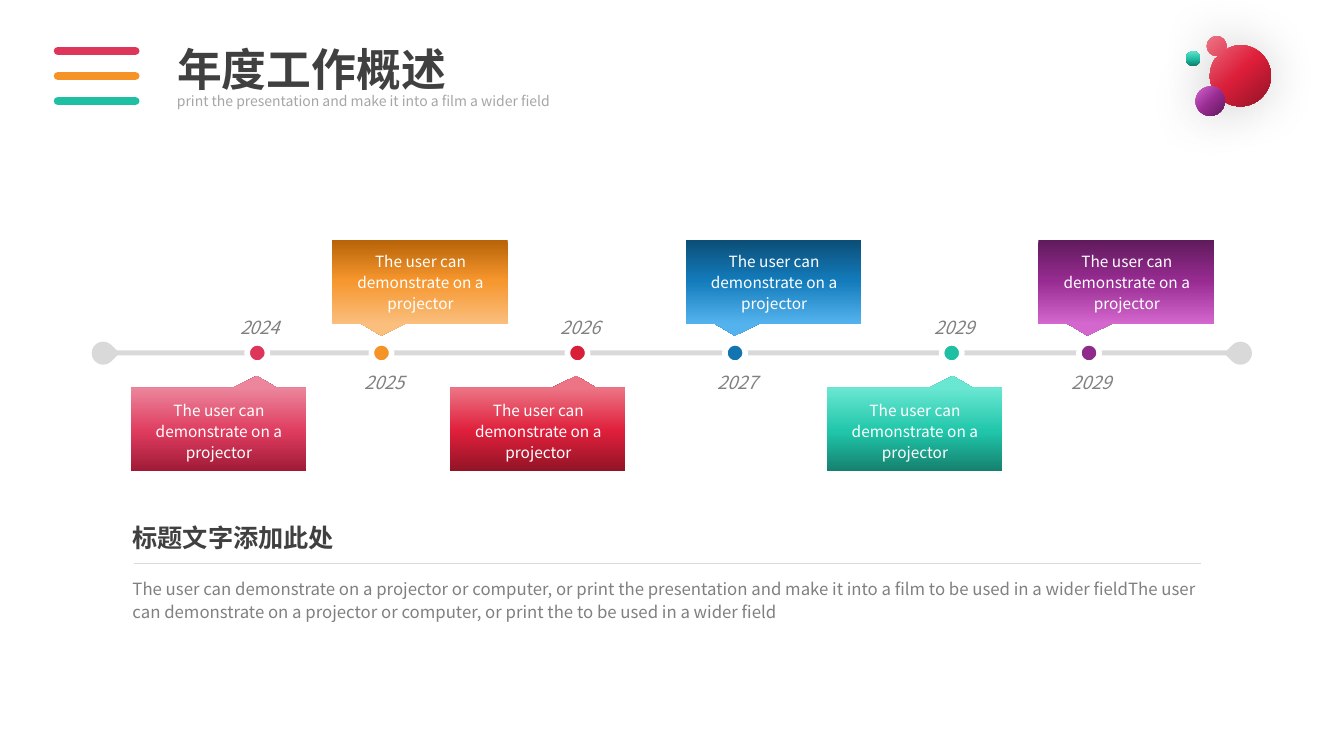
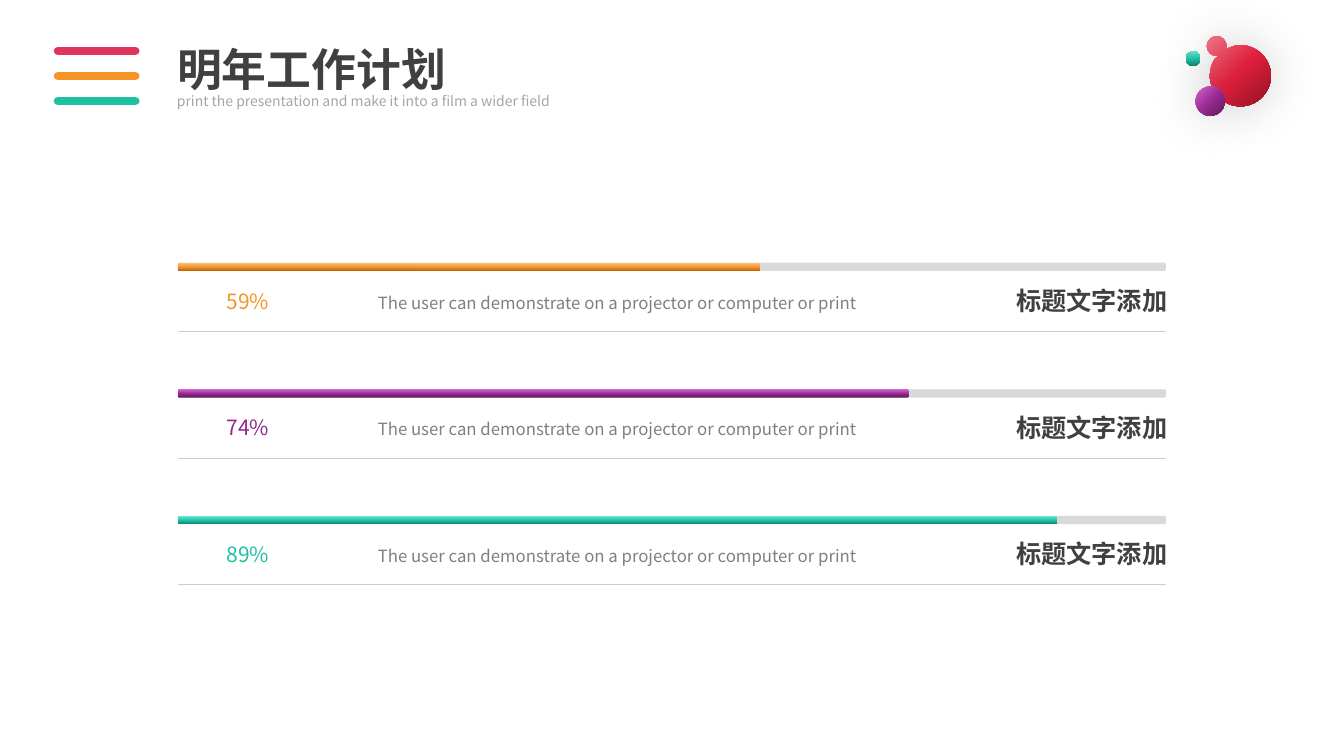
import collections

import pptx
import pptx.dml.color
import pptx.enum.shapes
import pptx.enum.text
import pptx.oxml
import pptx.oxml.ns
import pptx.shapes.connector
import pptx.util
from lxml import etree

Cm = pptx.util.Cm
Pt = pptx.util.Pt
RGB = pptx.dml.color.RGBColor.from_string
SHAPE = pptx.enum.shapes.MSO_SHAPE
STRAIGHT = pptx.enum.shapes.MSO_CONNECTOR.STRAIGHT
ALIGN = pptx.enum.text.PP_ALIGN
ANCHOR = pptx.enum.text.MSO_ANCHOR
qn = pptx.oxml.ns.qn
Hue = collections.namedtuple("Hue", "solid dark mid light")


class Theme:
    font = "Noto Sans CJK SC"
    white, track, rule = "FFFFFF", "D9D9D9", "CCCCCC"
    heading, body, muted = "404040", "808080", "A6A6A6"
    rose = Hue("DE365A", "9F1A37", "DF3C5F", "EB869C")
    orange = Hue("F69326", "B76308", "F6962D", "FABE7D")
    red = Hue("D81E39", "911426", "DF1F3B", "EC7485")
    blue = Hue("1275B2", "0C4E77", "137BBB", "54B3EE")
    teal = Hue("1FBFA4", "15806E", "20C6AA", "6AE7D2")
    purple = Hue("8F298A", "601B5C", "972B91", "D367CE")
    title_pt, heading_pt, percent_pt, year_pt = 32, 18, 15, 12.9
    body_pt, callout_pt, subtitle_pt = 12, 11, 10


def write(sp, text, size, color, align=ALIGN.LEFT, anchor=ANCHOR.TOP,
          wrap=True, spacing=None, bold=False, italic=False):
    tf = sp.text_frame
    tf.text = text
    tf.word_wrap = wrap
    tf.auto_size = pptx.enum.text.MSO_AUTO_SIZE.NONE
    tf.vertical_anchor = anchor
    p = tf.paragraphs[0]
    p.alignment = align
    p.line_spacing = spacing
    r = p.runs[0]
    r.font.name = Theme.font
    r.font.size = Pt(size)
    r.font.bold = bold
    r.font.italic = italic
    r.font.color.rgb = RGB(color)
    etree.SubElement(r.font._element, qn("a:ea"), typeface=Theme.font)


def paint(sp, fill, orb=False):
    sp.line.fill.background()
    sp.shadow.inherit = False
    sp.fill.solid()
    if isinstance(fill, str):
        sp.fill.fore_color.rgb = RGB(fill)
        return
    stops = "".join(
        f'<a:gs pos="{pos}"><a:srgbClr val="{color}"/></a:gs>'
        for pos, color in ((0, fill.dark), (48000, fill.mid), (100000, fill.light)))
    direction = '<a:lin ang="16200000" scaled="0"/>'
    if orb:
        direction = '<a:path path="circle"><a:fillToRect l="100000" t="100000"/></a:path>'
    ns = pptx.oxml.ns.nsdecls("a")
    spPr = sp.element.spPr
    spPr.replace(spPr.find(qn("a:solidFill")), pptx.oxml.parse_xml(
        f'<a:gradFill {ns} rotWithShape="1"><a:gsLst>{stops}</a:gsLst>{direction}</a:gradFill>'))
    if orb:
        spPr.find(qn("a:effectLst")).append(pptx.oxml.parse_xml(
            f'<a:outerShdw {ns} blurRad="{Pt(37)}" dist="0" dir="0" algn="ctr" rotWithShape="0">'
            '<a:srgbClr val="000000"><a:alpha val="18000"/></a:srgbClr></a:outerShdw>'))


prs = pptx.Presentation()
prs.slide_width, prs.slide_height = Cm(33.87), Cm(19.05)

orb_start = (30.66, 0.91)
orb_segments = (
    ((30.8, 0.91), (30.91, 1.02), (30.91, 1.16)),
    ((30.91, 1.19), (30.9, 1.22), (30.89, 1.25)),
    ((30.87, 1.27),),
    ((30.91, 1.24),),
    ((31.01, 1.18), (31.13, 1.14), (31.26, 1.14)),
    ((31.68, 1.14), (32.03, 1.49), (32.03, 1.91)),
    ((32.03, 2.33), (31.68, 2.68), (31.26, 2.68)),
    ((30.84, 2.68), (30.49, 2.33), (30.49, 1.91)),
    ((30.49, 1.75), (30.54, 1.6), (30.62, 1.48)),
    ((30.72, 1.4),),
    ((30.71, 1.4),),
    ((30.69, 1.41), (30.68, 1.41), (30.66, 1.41)),
    ((30.52, 1.41), (30.41, 1.3), (30.41, 1.16)),
    ((30.41, 1.02), (30.52, 0.91), (30.66, 0.91)),
)

for title in ("年度工作概述", "明年工作计划"):
    s = prs.slides.add_slide(prs.slide_layouts[5])
    sp = s.shapes.title
    sp.left, sp.top, sp.width, sp.height = Cm(4.21), Cm(0.93), Cm(7.34), Cm(1.63)
    write(sp, title, Theme.title_pt, Theme.heading, wrap=False, bold=True)
    sp = s.shapes.add_textbox(Cm(4.21), Cm(2.21), Cm(11), Cm(0.69))
    write(sp, "print the presentation and make it into a film a wider field",
          Theme.subtitle_pt, Theme.muted, align=ALIGN.JUSTIFY)

    for i, hue in enumerate((Theme.rose, Theme.orange, Theme.teal)):
        y = Cm(1.28 + 0.635 * i)
        bar = s.shapes.add_connector(STRAIGHT, Cm(1.46), y, Cm(3.41), y)
        bar.line.color.rgb = RGB(hue.solid)
        bar.line.width = Pt(6)
        bar.element.spPr.find(qn("a:ln")).set("cap", "rnd")

    sp = s.shapes.add_shape(SHAPE.OVAL, Cm(29.88), Cm(1.29), Cm(0.38), Cm(0.38))
    paint(sp, Theme.teal)

    builder = s.shapes.build_freeform(Cm(orb_start[0]), Cm(orb_start[1]))
    builder.add_line_segments([(Cm(x), Cm(y)) for points in orb_segments for x, y in points])
    sp = builder.convert_to_shape()
    lines = iter(list(sp.element.spPr.iter(qn("a:lnTo"))))
    for points in orb_segments:
        first = next(lines)
        if len(points) == 3:
            curve = etree.Element(qn("a:cubicBezTo"))
            first.addprevious(curve)
            for line in (first, next(lines), next(lines)):
                curve.append(line[0])
                line.getparent().remove(line)
    paint(sp, Theme.red, orb=True)

    sp = s.shapes.add_shape(SHAPE.OVAL, Cm(30.13), Cm(2.18), Cm(0.74), Cm(0.74))
    paint(sp, Theme.purple, orb=True)

s = prs.slides[0]
sp = s.shapes.add_shape(SHAPE.RECTANGLE, Cm(2.59), Cm(8.83), Cm(28.83), Cm(0.13))
paint(sp, Theme.track)
for x, rotation in ((2.31, 45), (30.97, 225)):
    sp = s.shapes.add_shape(SHAPE.TEAR, Cm(x), Cm(8.61), Cm(0.58), Cm(0.58))
    sp.rotation = rotation
    paint(sp, Theme.track)

milestones = (
    ("2024", Theme.rose, 6.23, 3.29),
    ("2025", Theme.orange, 9.36, 8.37),
    ("2026", Theme.red, 14.3, 11.34),
    ("2027", Theme.blue, 18.27, 17.28),
    ("2029", Theme.teal, 23.73, 20.83),
    ("2029", Theme.purple, 27.19, 26.17),
)
for i, (year, hue, dot_x, callout_x) in enumerate(milestones):
    above = i % 2 == 1
    callout_y, text_y, year_y = (6.05, 6.17, 9.23) if above else (9.77, 9.91, 7.85)

    dot = s.shapes.add_shape(SHAPE.OVAL, Cm(dot_x), Cm(8.64), Cm(0.51), Cm(0.51))
    paint(dot, hue.solid)
    dot.line.color.rgb = RGB(Theme.white)
    dot.line.width = Pt(4)

    callout = s.shapes.add_shape(SHAPE.RECTANGULAR_CALLOUT, Cm(callout_x), Cm(callout_y),
                                 Cm(4.42), Cm(2.11))
    callout.adjustments[0], callout.adjustments[1] = 0.22, -0.64
    callout.rotation = 180 if above else 0
    paint(callout, hue)

    sp = s.shapes.add_textbox(Cm(callout_x + 0.35), Cm(text_y), Cm(3.76), Cm(1.85))
    write(sp, "The user can demonstrate on a projector", Theme.callout_pt, Theme.white,
          align=ALIGN.CENTER, spacing=1.14)
    sp = s.shapes.add_textbox(Cm(dot_x - 0.43), Cm(year_y), Cm(1.4), Cm(0.74))
    write(sp, year, Theme.year_pt, Theme.body, wrap=False, italic=True)

rule = s.shapes.add_connector(STRAIGHT, Cm(3.37), Cm(14.2), Cm(30.27), Cm(14.2))
rule.line.color.rgb = RGB(Theme.track)
rule.line.width = Pt(0.75)
sp = s.shapes.add_textbox(Cm(3.09), Cm(13.04), Cm(11.66), Cm(1.02))
write(sp, "标题文字添加此处", Theme.heading_pt, Theme.heading, bold=True)
sp = s.shapes.add_textbox(Cm(3.09), Cm(14.4), Cm(27.76), Cm(1.42))
write(sp, "The user can demonstrate on a projector or computer, or print the presentation "
          "and make it into a film to be used in a wider fieldThe user can demonstrate on a "
          "projector or computer, or print the to be used in a wider field",
      Theme.body_pt, Theme.body, spacing=1.14)

s = prs.slides[1]
left, track_width, pitch = 4.48, 24.9, 3.19
for i, (percent, hue) in enumerate(((59, Theme.orange), (74, Theme.purple), (89, Theme.teal))):
    y = 6.62 + pitch * i
    for width, fill in ((track_width, Theme.track), (track_width * percent / 100, hue)):
        sp = s.shapes.add_shape(SHAPE.ROUNDED_RECTANGLE, Cm(left), Cm(y), Cm(width), Cm(0.21))
        paint(sp, fill)

    sp = s.shapes.add_textbox(Cm(5.46), Cm(y + 0.57), Cm(1.24), Cm(0.79))
    write(sp, f"{percent}%", Theme.percent_pt, hue.solid, anchor=ANCHOR.MIDDLE, wrap=False)
    sp = s.shapes.add_textbox(Cm(7.8), Cm(y + 0.55), Cm(15.52), Cm(0.84))
    write(sp, "The user can demonstrate on a projector or computer or print",
          Theme.body_pt, Theme.body, align=ALIGN.CENTER, spacing=1.14)
    sp = s.shapes.add_textbox(Cm(23.75), Cm(y + 0.45), Cm(5.92), Cm(1.02))
    write(sp, "标题文字添加", Theme.heading_pt, Theme.heading, align=ALIGN.RIGHT, bold=True)

    rule = s.shapes.add_connector(STRAIGHT, Cm(left), Cm(y + 1.73),
                                  Cm(left + track_width), Cm(y + 1.73))
    rule.line.color.rgb = RGB(Theme.rule)
    rule.line.width = Pt(0.25)

for s in prs.slides:
    for sp in s.shapes:
        if isinstance(sp, pptx.shapes.connector.Connector):
            etree.SubElement(sp.element.spPr, qn("a:effectLst"))

prs.save("out.pptx")
